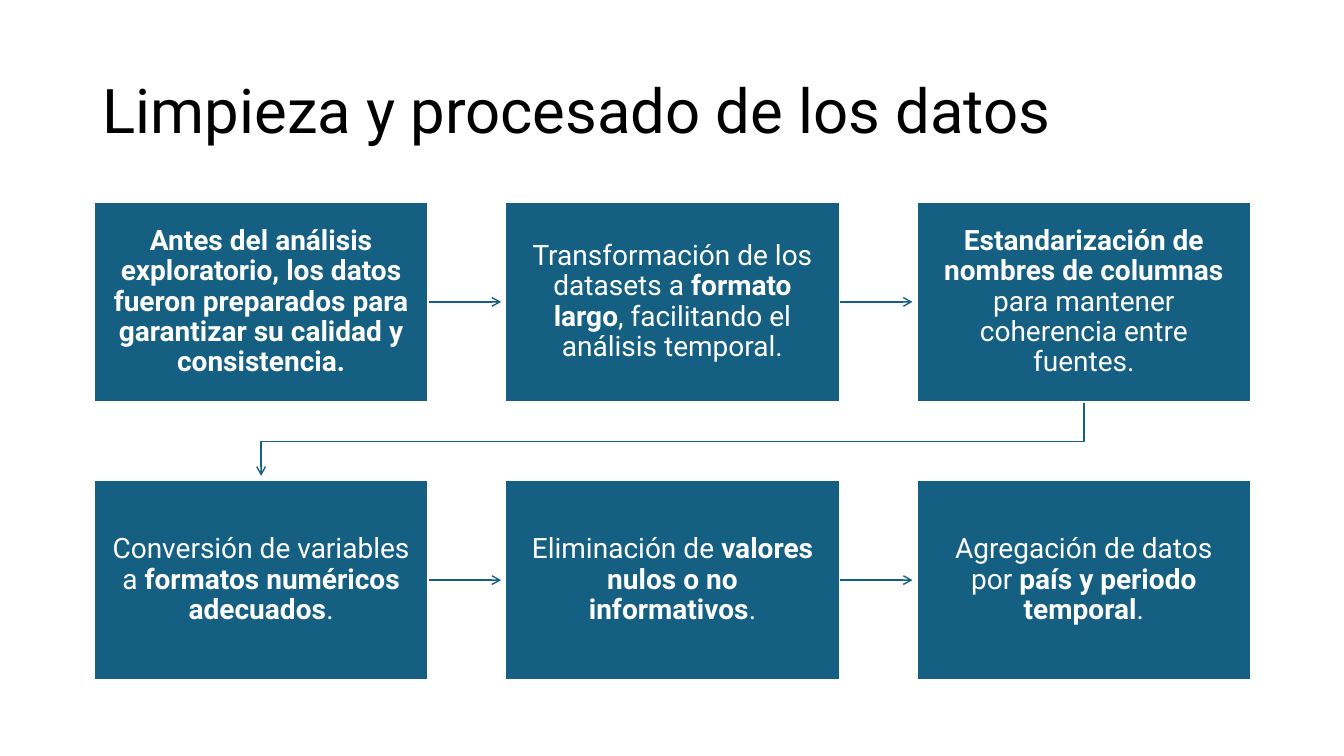
from lxml.etree import SubElement
from pptx import Presentation
from pptx.dml.color import RGBColor
from pptx.enum.shapes import MSO_CONNECTOR, MSO_SHAPE
from pptx.enum.text import MSO_ANCHOR, MSO_AUTO_SIZE, PP_ALIGN
from pptx.oxml.ns import qn
from pptx.util import Pt

SCALE = 9144  # EMU per px, 100 px to the inch
FONT = "Roboto"
BLUE, WHITE, BLACK = "156082", "FFFFFF", "000000"

# Grid of steps
LEFT, TOP, WIDE, HIGH = 93, 200, 332, 199
STEP_X, STEP_Y, COLS = 408, 276, 3
GAP = 4  # between an arrowhead and its box

# Each step is a list of (text, bold) runs
STEPS = [
    [("Antes del análisis exploratorio, los datos fueron preparados para "
      "garantizar su calidad y consistencia.", True)],
    [("Transformación de los datasets a ", False), ("formato largo", True),
     (", facilitando el análisis temporal.", False)],
    [("Estandarización de nombres de columnas", True),
     (" para mantener coherencia entre fuentes.", False)],
    [("Conversión de variables a ", False),
     ("formatos numéricos adecuados", True), (".", False)],
    [("Eliminación de ", False),
     ("valores nulos o no informativos", True), (".", False)],
    [("Agregación de datos por ", False),
     ("país y periodo temporal", True), (".", False)],
]


def px(n):
    return round(n * SCALE)


def color(code):
    return RGBColor.from_string(code)


def add_run(para, text, size, code, bold=False):
    run = para.add_run()
    run.text = text
    font = run.font
    font.name, font.size, font.bold = FONT, Pt(size), bold
    font.color.rgb = color(code)


def set_title(slide, text):
    title = slide.shapes.title
    title.left, title.top = px(92), px(40)
    title.width, title.height = px(1150), px(145)
    frame = title.text_frame
    frame.auto_size = MSO_AUTO_SIZE.NONE
    frame.vertical_anchor = MSO_ANCHOR.MIDDLE
    para = frame.paragraphs[0]
    para.alignment, para.line_spacing = PP_ALIGN.LEFT, 0.9
    add_run(para, text, 44, BLACK)


def add_box(slide, x, y, runs):
    box = slide.shapes.add_shape(
        MSO_SHAPE.RECTANGLE, px(x), px(y), px(WIDE), px(HIGH))
    box.shadow.inherit = False
    box.fill.solid()
    box.fill.fore_color.rgb = color(BLUE)
    box.line.color.rgb = color(WHITE)
    box.line.width = Pt(1.5)
    frame = box.text_frame
    frame.word_wrap = True
    frame.vertical_anchor = MSO_ANCHOR.MIDDLE
    frame.margin_left = frame.margin_right = px(16)
    frame.margin_top = frame.margin_bottom = px(17)
    para = frame.paragraphs[0]
    para.alignment, para.line_spacing = PP_ALIGN.CENTER, 0.9
    para.space_after = Pt(7)
    for text, bold in runs:
        add_run(para, text, 20, WHITE, bold)
    return box


def style_arrow(line):
    line.color.rgb = color(BLUE)
    line.width = Pt(1)
    SubElement(line._get_or_add_ln(), qn("a:tailEnd"), type="arrow")


def add_arrow(slide, box, x, y):
    """Straight arrow from the right side of a box to the next one."""
    arrow = slide.shapes.add_connector(
        MSO_CONNECTOR.STRAIGHT, px(x + WIDE), px(y + HIGH / 2),
        px(x + STEP_X - GAP), px(y + HIGH / 2))
    arrow.begin_connect(box, 3)
    style_arrow(arrow.line)
    SubElement(arrow._element.spPr, qn("a:effectLst"))


def add_bend(slide, points):
    """Open bent arrow through the given points."""
    build = slide.shapes.build_freeform(*points[0], scale=SCALE)
    build.add_line_segments(points[1:], close=False)
    bend = build.convert_to_shape()
    bend.shadow.inherit = False
    bend.fill.background()
    style_arrow(bend.line)


def main():
    deck = Presentation()
    deck.slide_width, deck.slide_height = px(1333), px(750)
    slide = deck.slides.add_slide(deck.slide_layouts[5])
    set_title(slide, "Limpieza y procesado de los datos")

    # Bent arrow from the end of the first row to the start of the second
    first = LEFT + WIDE // 2
    last = first + (COLS - 1) * STEP_X
    low = TOP + HIGH
    add_bend(slide, [(last, low), (last, low + 39), (first, low + 39),
                     (first, TOP + STEP_Y - GAP)])

    # Boxes with the arrows inside each row
    for i, runs in enumerate(STEPS):
        row, col = divmod(i, COLS)
        x, y = LEFT + col * STEP_X, TOP + row * STEP_Y
        box = add_box(slide, x, y, runs)
        if col < COLS - 1:
            add_arrow(slide, box, x, y)

    deck.save("out.pptx")


if __name__ == "__main__":
    main()
